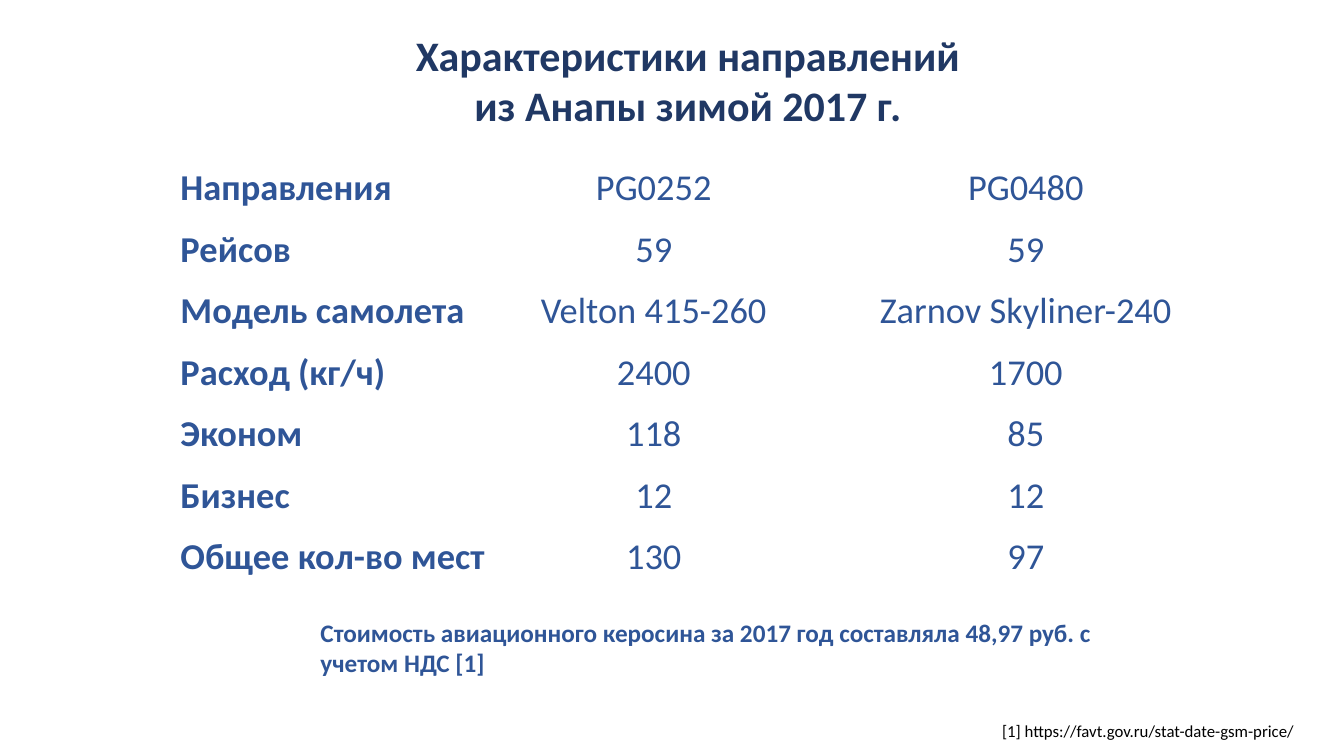
from lxml.etree import SubElement
from pptx import Presentation
from pptx.dml.color import RGBColor
from pptx.enum.text import MSO_ANCHOR as ANCHOR, PP_ALIGN as ALIGN
from pptx.oxml.ns import qn
from pptx.util import Inches, Pt

NAVY = RGBColor(0x20, 0x38, 0x64)
BLUE = RGBColor(0x2F, 0x55, 0x97)
BLACK = RGBColor(0, 0, 0)
WHITE = RGBColor(0xFF, 0xFF, 0xFF)


def style(p, size, color, bold, align=ALIGN.LEFT):
    p.alignment = align
    p.font.name = "Calibri"
    p.font.size = Pt(size)
    p.font.bold = bold
    p.font.color.rgb = color


def add_borders(cell):
    tc_pr = cell._tc.get_or_add_tcPr()
    for side in ("a:lnL", "a:lnR", "a:lnT", "a:lnB"):
        ln = SubElement(tc_pr, qn(side), w=str(Pt(1)))
        fill = SubElement(ln, qn("a:solidFill"))
        SubElement(fill, qn("a:srgbClr"), val=str(WHITE))


prs = Presentation()
prs.slide_width = Inches(13.33)
prs.slide_height = Inches(7.5)
s = prs.slides.add_slide(prs.slide_layouts[6])

rows = [
    ("Направления", "PG0252", "PG0480"),
    ("Рейсов", "59", "59"),
    ("Модель самолета", "Velton 415-260", "Zarnov Skyliner-240"),
    ("Расход (кг/ч)", "2400", "1700"),
    ("Эконом", "118", "85"),
    ("Бизнес", "12", "12"),
    ("Общее кол-во мест", "130", "97"),
]
table = s.shapes.add_table(len(rows), 3, Inches(1.78), Inches(0.72),
                           Inches(10.46), Inches(5.03)).table
table.first_row = False
table.horz_banding = False
for column, width in zip(table.columns, (3.08, 3.25, 4.13)):
    column.width = Inches(width)
for i, row in enumerate(rows):
    table.rows[i].height = Inches(1.37 if i == 0 else 0.61)
    for j, text in enumerate(row):
        cell = table.cell(i, j)
        cell.text = text
        cell.vertical_anchor = ANCHOR.BOTTOM
        cell.margin_left = cell.margin_right = cell.margin_top = Inches(0.01)
        cell.margin_bottom = 0
        add_borders(cell)
        cell.fill.solid()
        cell.fill.fore_color.rgb = WHITE
        style(cell.text_frame.paragraphs[0], 26, BLUE, j == 0,
              ALIGN.CENTER if j else ALIGN.LEFT)

texts = [
    ("Характеристики направлений из Анапы зимой 2017 г.",
     (3.82, 0.24, 6.01, 1.11), 30, NAVY, True, ALIGN.CENTER),
    ("Стоимость авиационного керосина за 2017 год составляла 48,97 руб. с учетом НДС [1]",
     (3.08, 6.07, 7.88, 0.71), 18, BLUE, True, ALIGN.LEFT),
    ("[1] https://favt.gov.ru/stat-date-gsm-price/",
     (9.84, 7.1, 3.45, 0.3), 12, BLACK, False, ALIGN.LEFT),
]
for text, box, size, color, bold, align in texts:
    tf = s.shapes.add_textbox(*map(Inches, box)).text_frame
    tf.word_wrap = True
    tf.text = text
    style(tf.paragraphs[0], size, color, bold, align)

prs.save("out.pptx")
